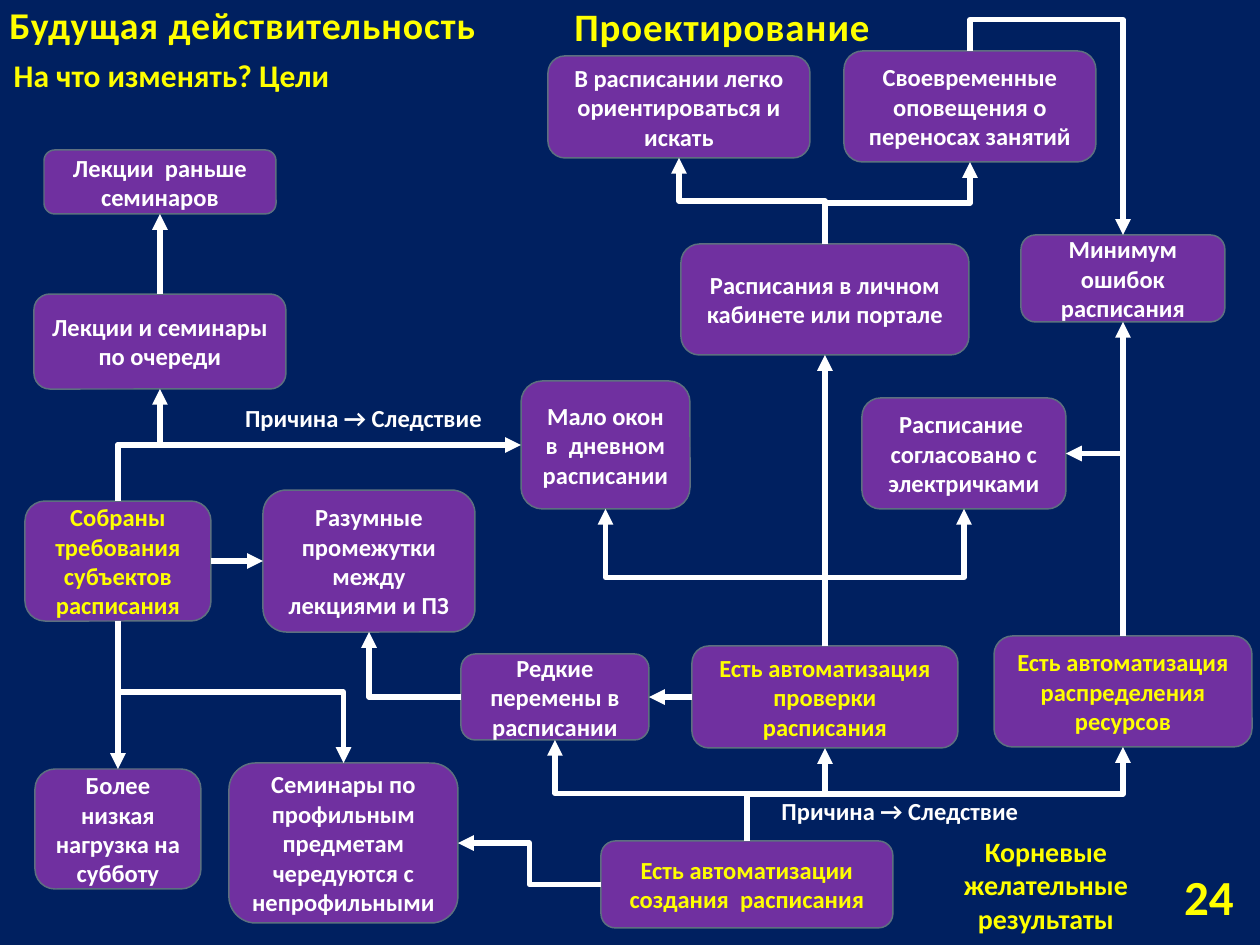
"""Build the slide of desired outcomes linked from cause to effect."""
from dataclasses import dataclass

from pptx import Presentation
from pptx import util as u
from pptx.dml.color import RGBColor
from pptx.enum import shapes, text
from pptx.oxml import ns

EMU_PER_PX = 914400 / 126
TOP, LEFT, BOTTOM, RIGHT = range(4)


@dataclass(frozen=True)
class Theme:
    font: str = "Calibri"
    background: RGBColor = RGBColor(0x00, 0x20, 0x60)
    box_fill: RGBColor = RGBColor(0x70, 0x30, 0xA0)
    box_border: RGBColor = RGBColor(0x5D, 0x70, 0x80)
    white: RGBColor = RGBColor(0xFF, 0xFF, 0xFF)
    yellow: RGBColor = RGBColor(0xFF, 0xFF, 0x00)
    body: float = 14
    roots: float = 16
    subtitle: float = 18
    title: float = 21.6
    stage: float = 22.2
    number: float = 28
    border: float = 0.85
    arrow: float = 3


@dataclass(frozen=True)
class Outcome:
    key: str
    words: str
    x: int
    y: int
    w: int
    h: int
    root: bool = False


@dataclass(frozen=True)
class Link:
    effect: str
    effect_side: int
    cause: str
    cause_side: int
    bend: int = 50000


@dataclass(frozen=True)
class Caption:
    words: str
    x: int
    y: int
    w: int
    h: int
    size: float
    color: RGBColor
    align: text.PP_ALIGN = text.PP_ALIGN.CENTER
    anchor: text.MSO_ANCHOR = text.MSO_ANCHOR.TOP
    tracking: int = 0
    line_spacing: float = 1.0


THEME = Theme()

OUTCOMES = [
    Outcome("gaps", "Разумные промежутки между лекциями и ПЗ", 263, 490, 212, 142),
    Outcome("trains", "Расписание  согласовано с электричками", 862, 398, 204, 111),
    Outcome("lectures_first", "Лекции  раньше семинаров", 44, 150, 232, 64),
    Outcome("in_turn", "Лекции и семинары по очереди", 34, 294, 252, 95),
    Outcome("few_windows", "Мало окон в  дневном расписании", 521, 381, 169, 128),
    Outcome("rare_changes", "Редкие перемены в расписании", 461, 654, 188, 86),
    Outcome("alerts", "Своевременные оповещения о переносах занятий", 844, 51, 252, 111),
    Outcome("easy_search", "В расписании легко ориентироваться и искать", 548, 56, 262, 102),
    Outcome("saturday", "Более низкая нагрузка на субботу", 35, 769, 166, 120),
    Outcome("few_errors", "Минимум ошибок расписания", 1021, 235, 204, 87),
    Outcome("account", "Расписания в личном кабинете или портале", 681, 244, 288, 111),
    Outcome("seminars", "Семинары по профильным предметам чередуются с непрофильными",
            229, 763, 229, 160),
    Outcome("resources", "Есть автоматизация распределения ресурсов", 994, 636, 258, 111, True),
    Outcome("creation", "Есть автоматизации создания  расписания", 601, 841, 292, 87, True),
    Outcome("checking", "Есть автоматизация проверки расписания", 692, 646, 266, 102, True),
    Outcome("demands", "Собраны требования субъектов расписания", 25, 501, 186, 120, True),
]

LINKS = [
    Link("lectures_first", BOTTOM, "in_turn", TOP),
    Link("easy_search", BOTTOM, "account", TOP),
    Link("alerts", BOTTOM, "account", TOP),
    Link("resources", BOTTOM, "creation", TOP),
    Link("checking", BOTTOM, "creation", TOP),
    Link("seminars", TOP, "demands", BOTTOM),
    Link("trains", BOTTOM, "checking", TOP),
    Link("rare_changes", BOTTOM, "creation", TOP, 52800),
    Link("few_windows", BOTTOM, "checking", TOP),
    Link("few_errors", BOTTOM, "resources", TOP),
    Link("few_windows", LEFT, "demands", TOP),
    Link("saturday", TOP, "demands", BOTTOM),
    Link("in_turn", BOTTOM, "demands", TOP),
    Link("gaps", LEFT, "demands", RIGHT),
    Link("account", BOTTOM, "checking", TOP),
    Link("gaps", BOTTOM, "rare_changes", LEFT),
    Link("few_errors", TOP, "alerts", TOP, 117100),
    Link("trains", RIGHT, "resources", TOP),
    Link("rare_changes", RIGHT, "checking", LEFT),
    Link("seminars", RIGHT, "creation", LEFT),
]

CAUSE_EFFECT = "Причина → Следствие"
CAPTIONS = [
    Caption("Будущая действительность", -3, -6, 510, 60, THEME.title, THEME.yellow,
            text.PP_ALIGN.LEFT, text.MSO_ANCHOR.MIDDLE, 50),
    Caption("Проектирование", 562, 0, 340, 57, THEME.stage, THEME.yellow,
            text.PP_ALIGN.LEFT, text.MSO_ANCHOR.MIDDLE, 50, 0.9),
    Caption("На что изменять? Цели", -8, 50, 359, 50, THEME.subtitle, THEME.yellow),
    Caption("Корневые желательные результаты", 927, 828, 238, 115, THEME.roots, THEME.yellow),
    Caption("24", 1126, 871, 120, 50, THEME.number, THEME.yellow,
            text.PP_ALIGN.RIGHT, text.MSO_ANCHOR.MIDDLE),
    Caption(CAUSE_EFFECT, 735, 790, 330, 43, THEME.body, THEME.white),
    Caption(CAUSE_EFFECT, 220, 397, 287, 43, THEME.body, THEME.white),
]


def px(length: float) -> int:
    """Turn px into EMU."""
    return round(length * EMU_PER_PX)


def write(frame, words: str, size: float, color: RGBColor, align, anchor):
    """Fill a text frame with one bold paragraph and return it."""
    frame.word_wrap = True
    frame.vertical_anchor = anchor
    paragraph = frame.paragraphs[0]
    paragraph.text = words
    paragraph.alignment = align
    font = paragraph.font
    font.name, font.size, font.bold = THEME.font, u.Pt(size), True
    font.color.rgb = color
    return paragraph


def draw_outcome(slide, outcome: Outcome):
    """Draw one rounded box and return it."""
    box = slide.shapes.add_shape(shapes.MSO_SHAPE.ROUNDED_RECTANGLE,
                                 *map(px, (outcome.x, outcome.y, outcome.w, outcome.h)))
    box.shadow.inherit = False
    box.fill.solid()
    box.fill.fore_color.rgb = THEME.box_fill
    box.line.color.rgb = THEME.box_border
    box.line.width = u.Pt(THEME.border)
    write(box.text_frame, outcome.words, THEME.body,
          THEME.yellow if outcome.root else THEME.white,
          text.PP_ALIGN.CENTER, text.MSO_ANCHOR.MIDDLE)
    return box


def add_child(parent, tag: str, **attributes: str) -> None:
    """Append an empty DrawingML element."""
    parent.append(parent.makeelement(ns.qn(tag), attributes))


def draw_link(slide, boxes: dict, link: Link) -> None:
    """Join an effect to its cause by an elbow with the arrowhead at the effect."""
    elbow = slide.shapes.add_connector(shapes.MSO_CONNECTOR.ELBOW, 0, 0, 0, 0)
    elbow.begin_connect(boxes[link.effect], link.effect_side)
    elbow.end_connect(boxes[link.cause], link.cause_side)
    elbow.line.color.rgb = THEME.white
    elbow.line.width = u.Pt(THEME.arrow)
    properties = elbow._element.spPr
    add_child(properties.find(ns.qn("a:ln")), "a:headEnd", type="triangle")
    add_child(properties, "a:effectLst")

    geometry = properties.find(ns.qn("a:prstGeom"))
    if (link.effect_side + link.cause_side) % 2:
        geometry.set("prst", "bentConnector2")
    elif link.bend != 50000:
        add_child(geometry.find(ns.qn("a:avLst")), "a:gd", name="adj1", fmla=f"val {link.bend}")

    if link.effect_side in (TOP, BOTTOM):
        dx, dy = elbow.end_x - elbow.begin_x, elbow.end_y - elbow.begin_y
        left = (elbow.begin_x + elbow.end_x - abs(dy)) // 2
        top = (elbow.begin_y + elbow.end_y - abs(dx)) // 2
        elbow.left, elbow.top, elbow.width, elbow.height = left, top, abs(dy), abs(dx)
        frame = properties.find(ns.qn("a:xfrm"))
        frame.set("rot", str((90 if dy > 0 else 270) * 60000))
        frame.set("flipH", "0")
        frame.set("flipV", "1" if dx * dy > 0 else "0")


def draw_caption(slide, caption: Caption) -> None:
    """Draw one free piece of text."""
    box = slide.shapes.add_textbox(*map(px, (caption.x, caption.y, caption.w, caption.h)))
    paragraph = write(box.text_frame, caption.words, caption.size, caption.color,
                      caption.align, caption.anchor)
    paragraph.line_spacing = caption.line_spacing
    if caption.tracking:
        paragraph.runs[0].font._element.set("spc", str(caption.tracking))


def main() -> None:
    """Build and save the slide."""
    deck = Presentation()
    deck.slide_width, deck.slide_height = px(1260), px(945)
    slide = deck.slides.add_slide(deck.slide_layouts[6])
    slide.background.fill.solid()
    slide.background.fill.fore_color.rgb = THEME.background
    boxes = {outcome.key: draw_outcome(slide, outcome) for outcome in OUTCOMES}
    for link in LINKS:
        draw_link(slide, boxes, link)
    for caption in CAPTIONS:
        draw_caption(slide, caption)
    deck.save("out.pptx")


if __name__ == "__main__":
    main()
